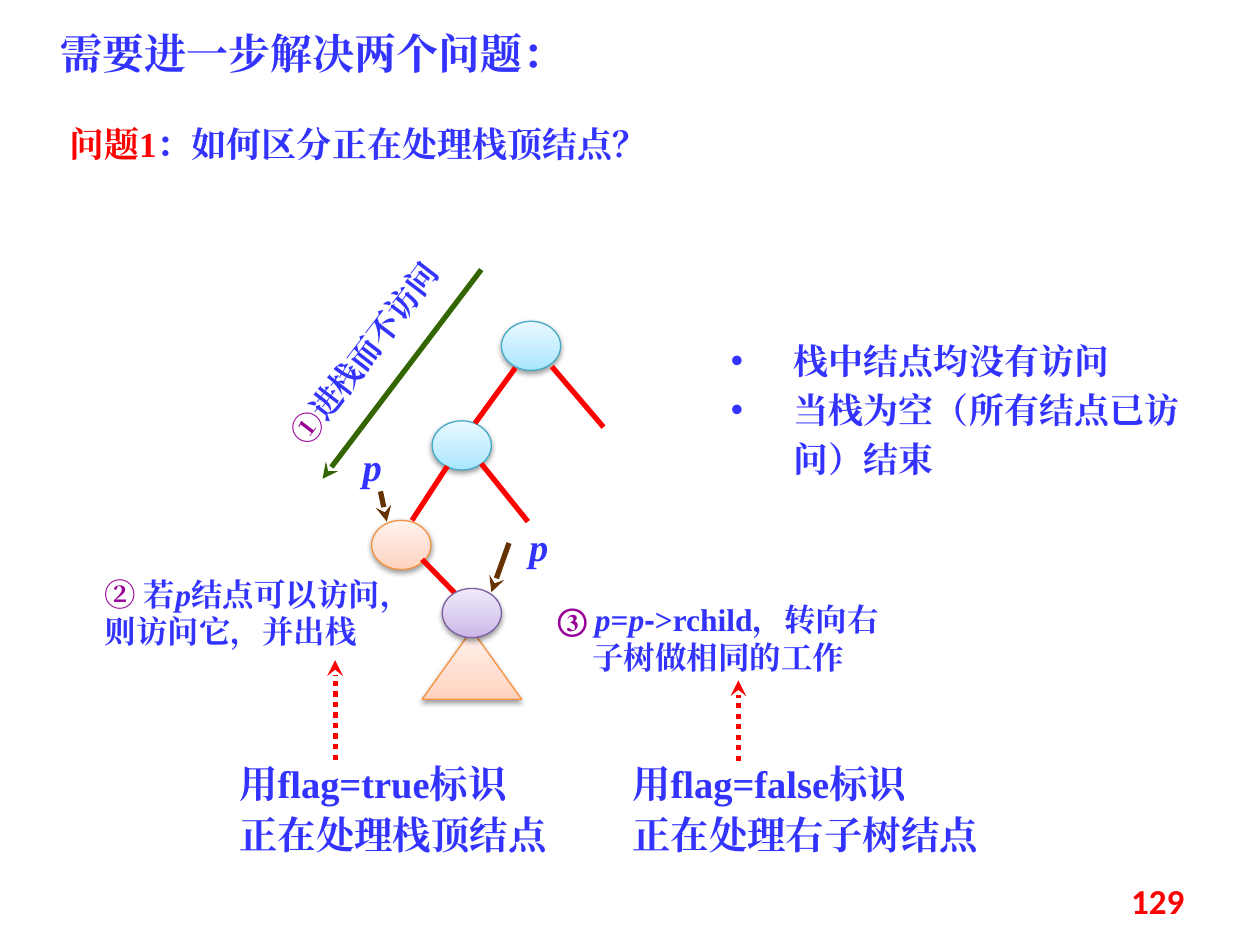
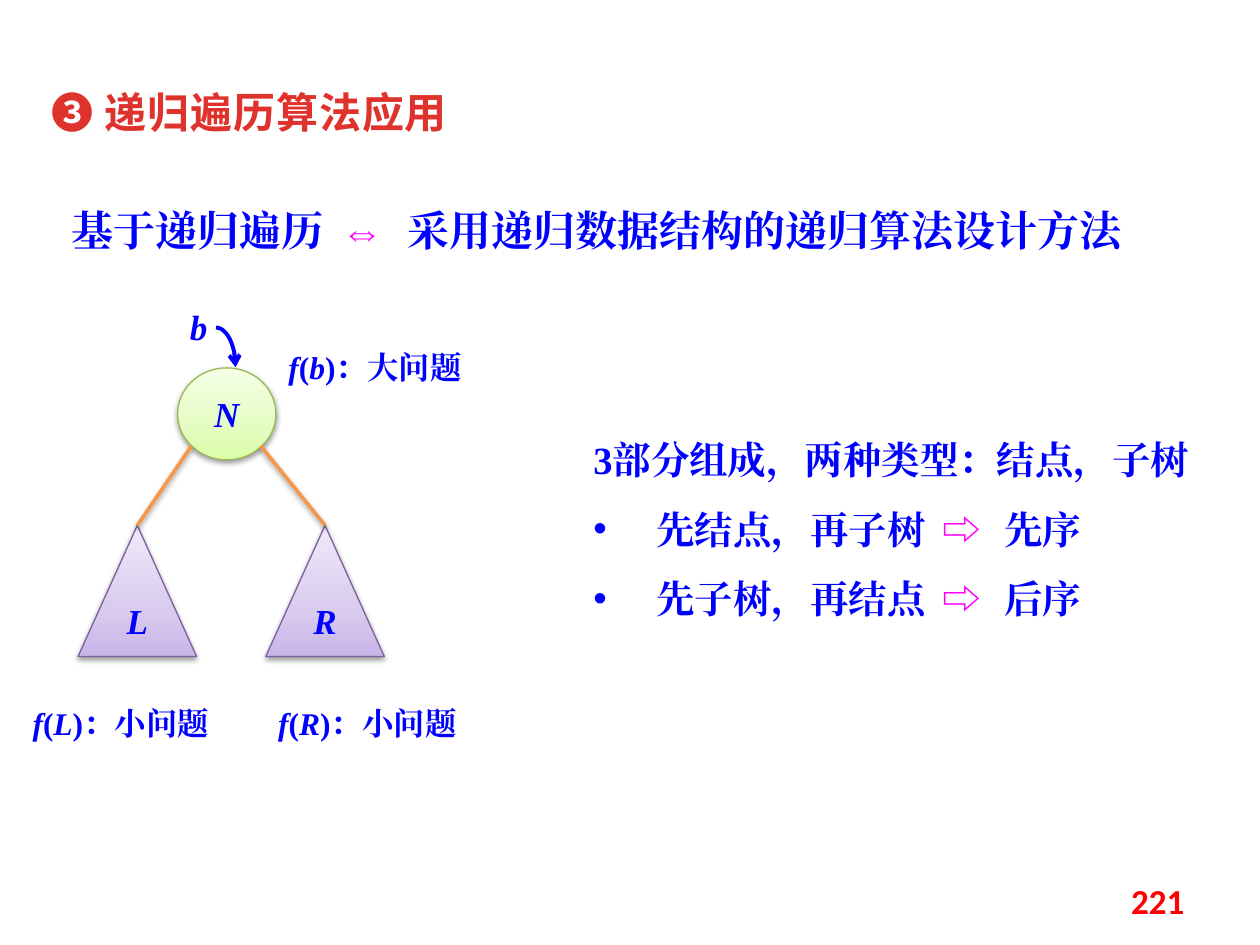
from copy import deepcopy

from lxml import etree
from pptx import Presentation
from pptx.dml.color import RGBColor
from pptx.enum.dml import MSO_LINE
from pptx.enum.shapes import MSO_CONNECTOR, MSO_SHAPE
from pptx.enum.text import MSO_ANCHOR, MSO_AUTO_SIZE, PP_ALIGN
from pptx.oxml.ns import qn
from pptx.util import Pt

PX = 9144  # 100 px to the inch
SERIF, SANS, CJK, PAGE = "Times New Roman", "Arial", "Noto Sans CJK SC", "Calibri"
LEFT, MID, RIGHT = PP_ALIGN.LEFT, PP_ALIGN.CENTER, PP_ALIGN.RIGHT
TOP, CENTER = MSO_ANCHOR.TOP, MSO_ANCHOR.MIDDLE
OVAL, CONE, ARC = MSO_SHAPE.OVAL, MSO_SHAPE.ISOSCELES_TRIANGLE, MSO_SHAPE.ARC
DOTS = MSO_LINE.ROUND_DOT

VIOLET = RGBColor(0x33, 0x33, 0xFF)
BLUE = RGBColor(0x00, 0x00, 0xFF)
RED = RGBColor(0xFF, 0x00, 0x00)
BRICK = RGBColor(0xE0, 0x32, 0x2D)
PLUM = RGBColor(0x99, 0x00, 0x99)
PINK = RGBColor(0xFF, 0x00, 0xFF)
GREEN = RGBColor(0x33, 0x66, 0x00)
BROWN = RGBColor(0x66, 0x33, 0x00)
AMBER = RGBColor(0xF7, 0x96, 0x46)

# Node looks: three gradient colours from the bottom up, then the outline
SKY = (RGBColor(0xA7, 0xE6, 0xFF), RGBColor(0xC1, 0xED, 0xFF),
       RGBColor(0xE7, 0xF8, 0xFF), RGBColor(0x46, 0xAA, 0xC5))
PEACH = (RGBColor(0xFF, 0xD2, 0xBD), RGBColor(0xFF, 0xDE, 0xD0),
         RGBColor(0xFF, 0xF2, 0xED), RGBColor(0xF6, 0x92, 0x40))
LILAC = (RGBColor(0xC9, 0xB5, 0xE8), RGBColor(0xD8, 0xCB, 0xEE),
         RGBColor(0xF0, 0xEA, 0xF9), RGBColor(0x7D, 0x60, 0xA0))
LIME = (RGBColor(0xDA, 0xFD, 0xA7), RGBColor(0xE4, 0xFC, 0xC2),
        RGBColor(0xF5, 0xFF, 0xE7), RGBColor(0x98, 0xB9, 0x55))


def scale(*box):
    return [n * PX for n in box]


class Deck:
    def __init__(self):
        self.show = Presentation()
        self.show.slide_width, self.show.slide_height = scale(1000, 750)

    def start(self, ink, page):
        """Add a slide with its text colour and page number."""
        self.slide = self.show.slides.add_slide(self.show.slide_layouts[1])
        self.ink = ink
        self.text((717, 695, 233, 40), [[(page, RED, PAGE)]], 20,
                  align=RIGHT, anchor=CENTER)

    def paras(self, frame, paras, size, align=LEFT, lead=None, gap=0, dots=None):
        """Fill a frame; a part is (text, colour, face, spacing), _x_ is italic.

        Paragraphs from index dots onward are bulleted.
        """
        for i, parts in enumerate(paras):
            para = frame.add_paragraph() if i else frame.paragraphs[0]
            para.alignment = align
            para.space_before = Pt(gap if i else 0)
            if lead:
                para.line_spacing = lead
            self.mark(para, dots is not None and i >= dots)
            for part in [(parts,)] if isinstance(parts, str) else parts:
                self.runs(para, size, *part)

    def mark(self, para, on):
        props = para._p.get_or_add_pPr()
        props.set("marL", "457200" if on else "0")
        props.set("indent", "-457200" if on else "0")
        if on:
            etree.SubElement(props, qn("a:buFont")).set("typeface", SANS)
            etree.SubElement(props, qn("a:buChar")).set("char", "•")
        else:
            etree.SubElement(props, qn("a:buNone"))

    def runs(self, para, size, text, ink=None, face=SERIF, space=0):
        for i, piece in enumerate(text.split("_")):
            if not piece:
                continue
            run = para.add_run()
            run.text = piece
            font = run.font
            font.size, font.name, font.bold = Pt(size), face, True
            font.italic = i % 2 == 1
            font.color.rgb = ink or self.ink
            props = run._r.get_or_add_rPr()
            etree.SubElement(props, qn("a:ea")).set("typeface", face)
            if space:
                props.set("spc", str(int(space * 100)))

    def frame(self, shape, anchor=TOP, inset=True):
        frame = shape.text_frame
        frame.word_wrap = True
        frame.auto_size = MSO_AUTO_SIZE.NONE
        frame.vertical_anchor = anchor
        if not inset:
            frame.margin_left = frame.margin_right = 0
            frame.margin_top = frame.margin_bottom = 0
        return frame

    def text(self, box, paras, size, anchor=TOP, inset=True, turn=0, **look):
        shape = self.slide.shapes.add_textbox(*scale(*box))
        shape.rotation = turn
        self.paras(self.frame(shape, anchor, inset), paras, size, **look)

    def hold(self, index, box, paras, size, **look):
        shape = self.slide.placeholders[index]
        shape.left, shape.top, shape.width, shape.height = scale(*box)
        self.paras(self.frame(shape), paras, size, **look)

    def title(self, box, paras, **look):
        self.hold(0, box, paras, 24, **look)

    def body(self, box, paras, size, **look):
        self.hold(1, box, paras, size, **look)

    def shade(self, shape, on):
        """Give a soft drop shadow, or switch the theme's shadow off."""
        effects = etree.SubElement(shape.element.spPr, qn("a:effectLst"))
        if on:
            drop = etree.SubElement(effects, qn("a:outerShdw"), blurRad="40000",
                                    dist="20000", dir="5400000", rotWithShape="0")
            ink = etree.SubElement(drop, qn("a:srgbClr"), val="000000")
            etree.SubElement(ink, qn("a:alpha"), val="38000")

    def stroke(self, shape, ink, width, dash=None, tip=None):
        shape.line.color.rgb, shape.line.width = ink, Pt(width)
        if dash:
            shape.line.dash_style = dash
        if tip:
            line = shape.element.spPr.find(qn("a:ln"))
            etree.SubElement(line, qn("a:tailEnd")).set("type", tip)

    def node(self, kind, box, look, label=None, lead=None):
        shape = self.slide.shapes.add_shape(kind, *scale(*box))
        fill = shape.fill
        fill.gradient()
        fill.gradient_angle = 90
        stops = shape.element.spPr.find(".//" + qn("a:gsLst"))
        stops.append(deepcopy(stops[0]))
        for stop, place, ink in zip(fill.gradient_stops, (0, 0.35, 1), look):
            stop.position, stop.color.rgb = place, ink
        self.stroke(shape, look[3], 0.75)
        self.shade(shape, True)
        if label:
            self.paras(shape.text_frame, [label], 20, align=MID, lead=lead)

    def line(self, ends, ink, width=3, dash=None, tip=None, shade=False):
        shape = self.slide.shapes.add_connector(MSO_CONNECTOR.STRAIGHT, *scale(*ends))
        self.stroke(shape, ink, width, dash, tip)
        self.shade(shape, shade)

    def arc(self, box, ink, width, tip):
        shape = self.slide.shapes.add_shape(ARC, *scale(*box))
        shape.fill.background()
        self.stroke(shape, ink, width, tip=tip)
        self.shade(shape, False)


def stack(deck):
    deck.start(VIOLET, "129")
    deck.title((38, 17, 500, 50), ["需要进一步解决两个问题："])
    deck.text((45, 92, 905, 44),
              [[("问题1", RED), ("：如何区分正在处理栈顶结点？",)]], 20)
    deck.body((570, 259, 398, 128),
              ["栈中结点均没有访问", "当栈为空（所有结点已访问）结束"],
              20, lead=Pt(28), dots=0)

    # Tree
    for x, y, look in ((398, 255, SKY), (343, 334, SKY), (295, 413, PEACH)):
        deck.node(OVAL, (x, y, 47, 39), look)
    for ends in ((409, 292, 377, 336), (355, 370, 327, 413), (438, 291, 479, 339),
                 (335, 444, 374, 484), (382, 368, 419, 414)):
        deck.line(ends, RED)
    deck.node(CONE, (335, 500, 79, 55), PEACH)
    deck.node(OVAL, (351, 467, 47, 39), LILAC)

    # Pointers p
    for ends, x, y in (((302, 390, 307, 414), 280, 352),
                       ((404, 431, 390, 470), 412, 415)):
        deck.line(ends, BROWN, tip="stealth")
        deck.text((x, y, 31, 37), ["_p_"], 22, align=MID, inset=False)

    # Three steps
    deck.line((382, 214, 256, 380), GREEN, tip="stealth")
    deck.text((147, 260, 284, 40), [[("①", PLUM), ("进栈而不访问",)]], 18,
              align=MID, turn=307.4)
    deck.text((83, 456, 245, 61),
              [[("② ", PLUM), ("若_p_结点可以访问，则访问它，并出栈",)]],
              18, inset=False)
    deck.text((437, 476, 266, 61),
              [[("③ ", PLUM), ("_p_=_p_",), ("-", None, SANS),
                (">rchild，转向右子树做相同的工作",)]],
              18, align=MID, inset=False)

    # Flags
    for x, width, value, what, ends in (
            (180, 281, "true", "栈顶", (266, 603, 266, 524)),
            (492, 313, "false", "右子树", (586, 604, 586, 540))):
        deck.line(ends, RED, dash=DOTS, tip="stealth")
        deck.text((x, 610, width, 80),
                  [f"用flag={value}标识", f"正在处理{what}结点"],
                  22, lead=Pt(18), gap=11)


def recur(deck):
    deck.start(BLUE, "221")
    deck.title((31, 62, 400, 52), [[("❸ 递归遍历算法应用", BRICK, CJK, 0.5)]],
               lead=Pt(30))
    deck.text((47, 156, 891, 52),
              [[("基于递归遍历",), (" ⇔ ", PINK, SERIF, 4),
                ("采用递归数据结构的递归算法设计方法",)]], 24, lead=Pt(30))

    # Tree of N, L and R
    deck.node(OVAL, (141, 292, 78, 73), LIME, "_N_")
    for x, name, ends in ((62, "L", (152, 354, 109, 417)),
                          (211, "R", (207, 354, 258, 417))):
        deck.node(CONE, (x, 417, 94, 104), LILAC, f"_{name}_", Pt(20))
        deck.line(ends, AMBER, 2, shade=True)
    deck.arc((156, 260, 31, 63), BLUE, 2.25, "arrow")
    deck.text((141, 229, 47, 52), ["_b_"], 20, lead=Pt(30))

    # Problem labels
    for x, y, name, rank in ((219, 260, "b", "大"), (16, 542, "L", "小"),
                             (211, 542, "R", "小")):
        deck.text((x, y, 172, 52), [f"_f_(_{name}_)：{rank}问题"], 18, lead=Pt(30))

    # Orders
    orders = [[(rule,), (" ⇨ ", PINK, SERIF, 4), (name,)]
              for rule, name in (("先结点，再子树", "先序"), ("先子树，再结点", "后序"))]
    deck.body((461, 323, 508, 177), ["3部分组成，两种类型：结点，子树", *orders],
              22, lead=1.5, dots=1)


def main():
    deck = Deck()
    stack(deck)
    recur(deck)
    deck.show.save("out.pptx")


if __name__ == "__main__":
    main()
